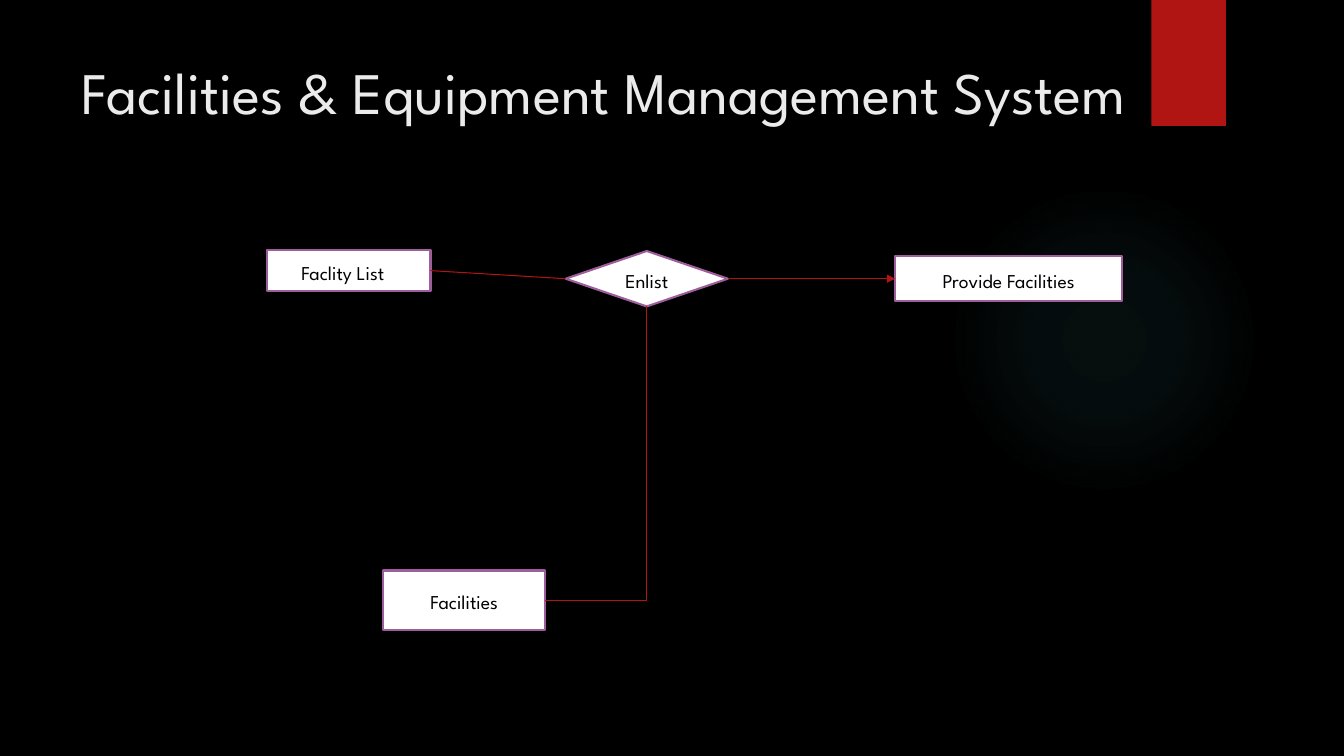
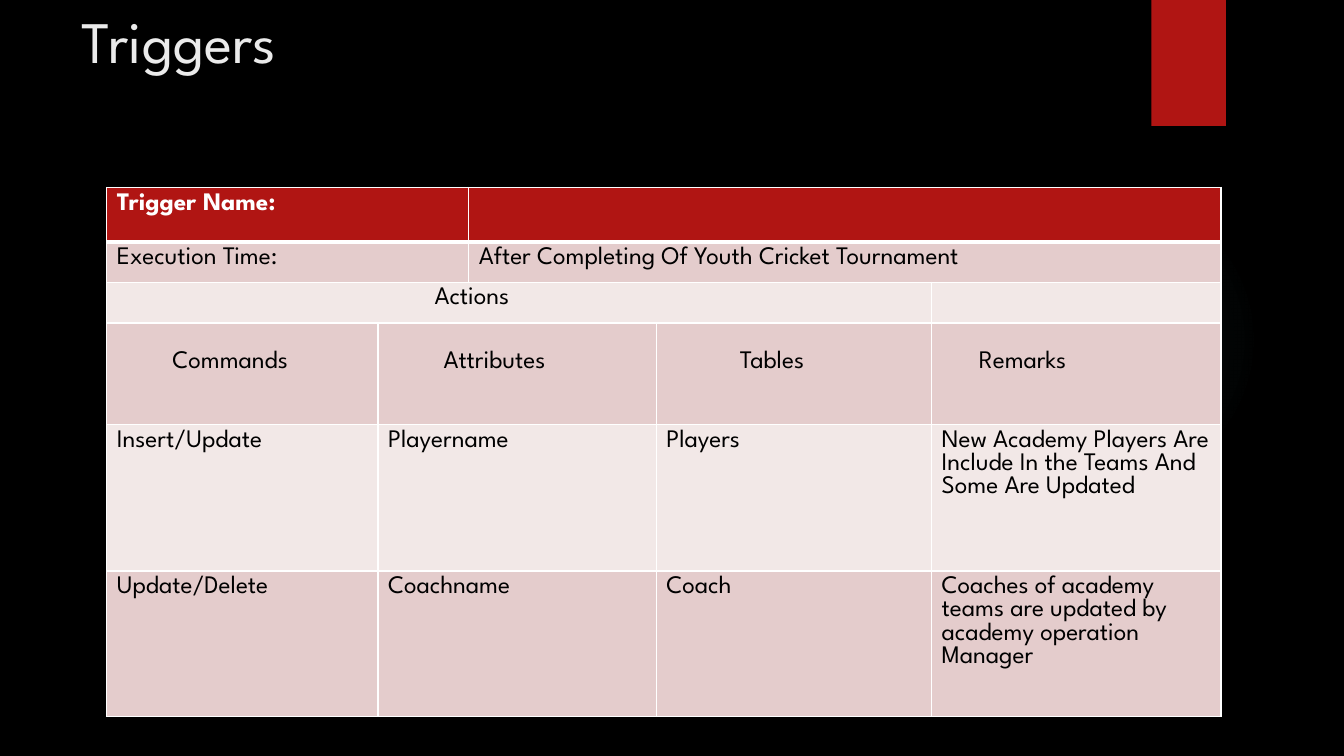
from lxml import etree
from pptx import Presentation
from pptx import util as u
from pptx.dml.color import RGBColor
from pptx.enum import shapes, text
from pptx.oxml import ns, parse_xml

FONT = "League Spartan"
BLACK, WHITE, RED, PURPLE = "000000", "FFFFFF", "B01513", "9E5E9B"
TITLE_COLOR, GLOW = "EBEBEB", "50B9C1"
BANDS = ["E4CCCC", "F2E8E7"]

# Content: flowchart nodes as (text, preset, left, top, width, height, text indent)
RECT, DIAMOND = shapes.MSO_SHAPE.RECTANGLE, shapes.MSO_SHAPE.DIAMOND
NODES = {
    "list": ("Faclity List", RECT, 2.65, 2.48, 1.62, 0.41, 0.24),
    "store": ("Facilities", RECT, 3.8, 5.66, 1.61, 0.59, None),
    "provide": ("Provide Facilities", RECT, 8.88, 2.54, 2.25, 0.45, None),
    "enlist": ("Enlist", DIAMOND, 5.61, 2.49, 1.61, 0.55, None),
}

# Content: trigger table rows of (text, columns spanned, text indent)
COLUMNS = [2.69, 0.9, 1.86, 2.73, 2.87]
ROWS = [0.54, 0.4, 0.4, 1.01, 1.45, 1.44]
HEADINGS_ROW = 3
TRIGGERS = [
    [("Trigger Name:", 2, 0), ("", 3, 0)],
    [("Execution Time:", 2, 0),
     ("After Completing Of Youth Cricket Tournament", 3, 0)],
    [("Actions", 4, 3.15), ("", 1, 0)],
    [("Commands", 1, 0.55), ("Attributes", 2, 0.55),
     ("Tables", 1, 0.73), ("Remarks", 1, 0.37)],
    [("Insert/Update", 1, 0), ("Playername", 2, 0), ("Players", 1, 0),
     ("New Academy Players Are Include In the Teams And Some Are Updated", 1, 0)],
    [("Update/Delete", 1, 0), ("Coachname", 2, 0), ("Coach", 1, 0),
     ("Coaches of academy teams are updated by academy operation Manager", 1, 0)],
]


def inches(*values):
    return [u.Inches(v) for v in values]


def paint(target, color):
    target.solid()
    target.fore_color.rgb = RGBColor.from_string(color)


def indent_text(paragraph, indent):
    paragraph._p.get_or_add_pPr().set("marL", str(u.Inches(indent)))


def write(paragraph, words, size, color, bold=False):
    run = paragraph.add_run()
    run.text = words
    run.font.name, run.font.size, run.font.bold = FONT, u.Pt(size), bold
    run.font.color.rgb = RGBColor.from_string(color)


# Shared template: background, glow, ribbon, title place
def add_backdrop(slide, layout):
    glow = slide.shapes.add_shape(shapes.MSO_SHAPE.OVAL, *inches(9.41, 1.83, 3.08, 3.08))
    glow.fill.background()
    stops = "".join(
        f'<a:gs pos="{pos * 1000}"><a:srgbClr val="{GLOW}">'
        f'<a:alpha val="{alpha * 1000}"/></a:srgbClr></a:gs>'
        for pos, alpha in [(0, 7), (36, 6), (69, 0)])
    gradient = parse_xml(
        f'<a:gradFill {ns.nsdecls("a")} rotWithShape="1"><a:gsLst>{stops}</a:gsLst>'
        '<a:path path="circle"><a:fillToRect l="50000" t="50000" r="50000" b="50000"/>'
        '</a:path></a:gradFill>')
    properties = glow._element.spPr
    properties.replace(properties.find(ns.qn("a:noFill")), gradient)

    ribbon = slide.shapes.add_shape(RECT, *inches(11.42, 0, 0.74, 1.25))
    paint(ribbon.fill, RED)
    for place, shape in enumerate([glow, ribbon], start=2):
        shape.line.fill.background()
        shape.shadow.inherit = False
        layout.shapes._spTree.insert(place, shape._element)


def set_title(slide, words, top):
    title = slide.shapes.title
    title.left, title.top, title.width, title.height = inches(0.71, top, 10.79, 1.53)
    frame = title.text_frame
    frame.word_wrap = True
    frame.auto_size = text.MSO_AUTO_SIZE.NONE
    frame.vertical_anchor = text.MSO_ANCHOR.TOP
    frame.paragraphs[0].alignment = text.PP_ALIGN.LEFT
    write(frame.paragraphs[0], words, 42, TITLE_COLOR)


# Flowchart
def add_node(slide, words, preset, left, top, width, height, indent):
    node = slide.shapes.add_shape(preset, *inches(left, top, width, height))
    node.shadow.inherit = False
    paint(node.fill, WHITE)
    paint(node.line.fill, PURPLE)
    node.line.width = u.Pt(1.5)
    frame = node.text_frame
    frame.vertical_anchor = text.MSO_ANCHOR.MIDDLE
    paragraph = frame.paragraphs[0]
    paragraph.line_spacing, paragraph.space_after = 1.15, u.Pt(10)
    paragraph.alignment = text.PP_ALIGN.CENTER
    if indent is not None:
        paragraph.alignment = text.PP_ALIGN.LEFT
        indent_text(paragraph, indent)
    write(paragraph, words, 14, BLACK)
    return node


def site(node, side):
    """Point in the middle of one side: 0 top, 1 left, 2 bottom, 3 right."""
    across, down = [(0.5, 0), (0, 0.5), (0.5, 1), (1, 0.5)][side]
    return int(node.left + across * node.width), int(node.top + down * node.height)


def add_link(slide, start, end, arrow=False):
    link = slide.shapes.add_connector(shapes.MSO_CONNECTOR.STRAIGHT, *start, *end)
    paint(link.line.fill, RED)
    link.line.width = u.Pt(0.75)
    properties = link._element.spPr
    if arrow:
        etree.SubElement(properties.find(ns.qn("a:ln")), ns.qn("a:tailEnd"), type="triangle")
    etree.SubElement(properties, ns.qn("a:effectLst"))
    return link


def build_flowchart(slide):
    set_title(slide, "Facilities & Equipment Management System", 0.5)
    nodes = {key: add_node(slide, *node) for key, node in NODES.items()}
    enlist, store = nodes["enlist"], nodes["store"]
    for source, target, arrow in [("list", "enlist", False), ("enlist", "provide", True)]:
        start, end = nodes[source], nodes[target]
        link = add_link(slide, site(start, 3), site(end, 1), arrow)
        link.begin_connect(start, 3)
        link.end_connect(end, 1)
    corner = site(enlist, 2)[0], site(store, 3)[1]
    add_link(slide, site(enlist, 2), corner).begin_connect(enlist, 2)
    add_link(slide, site(store, 3), corner).begin_connect(store, 3)


# Trigger table
def set_borders(cell, row):
    widths = {"L": 1, "R": 1, "T": 3 if row == 1 else 1, "B": 3 if row == 0 else 1}
    properties = cell._tc.get_or_add_tcPr()
    for place, (side, width) in enumerate(widths.items()):
        properties.insert(place, parse_xml(
            f'<a:ln{side} {ns.nsdecls("a")} w="{u.Pt(width)}"><a:solidFill>'
            f'<a:srgbClr val="{WHITE}"/></a:solidFill></a:ln{side}>'))


def build_triggers(slide):
    set_title(slide, "Triggers", 0)
    table = slide.shapes.add_table(
        len(ROWS), len(COLUMNS), *inches(1.06, 1.86, sum(COLUMNS), sum(ROWS))).table
    table.first_row = table.horz_banding = False
    for column, width in zip(table.columns, COLUMNS):
        column.width = u.Inches(width)
    for r, (height, entries) in enumerate(zip(ROWS, TRIGGERS)):
        table.rows[r].height = u.Inches(height)
        for c in range(len(COLUMNS)):
            paint(table.cell(r, c).fill, BANDS[(r - 1) % 2] if r else RED)
            set_borders(table.cell(r, c), r)
        c = 0
        for words, span, indent in entries:
            cell = table.cell(r, c)
            if span > 1:
                cell.merge(table.cell(r, c + span - 1))
            if r == HEADINGS_ROW:
                cell.margin_top = u.Inches(0.28)
            if words:
                paragraph = cell.text_frame.paragraphs[0]
                indent_text(paragraph, indent)
                write(paragraph, words, 18, BLACK if r else WHITE, bold=r == 0)
            c += span


def main():
    prs = Presentation()
    prs.slide_width, prs.slide_height = inches(13.33, 7.5)
    paint(prs.slide_master.background.fill, BLACK)
    layout = prs.slide_layouts.get_by_name("Title Only")
    flowchart, triggers = [prs.slides.add_slide(layout) for _ in range(2)]
    add_backdrop(flowchart, layout)
    build_flowchart(flowchart)
    build_triggers(triggers)
    prs.save("out.pptx")


if __name__ == "__main__":
    main()
